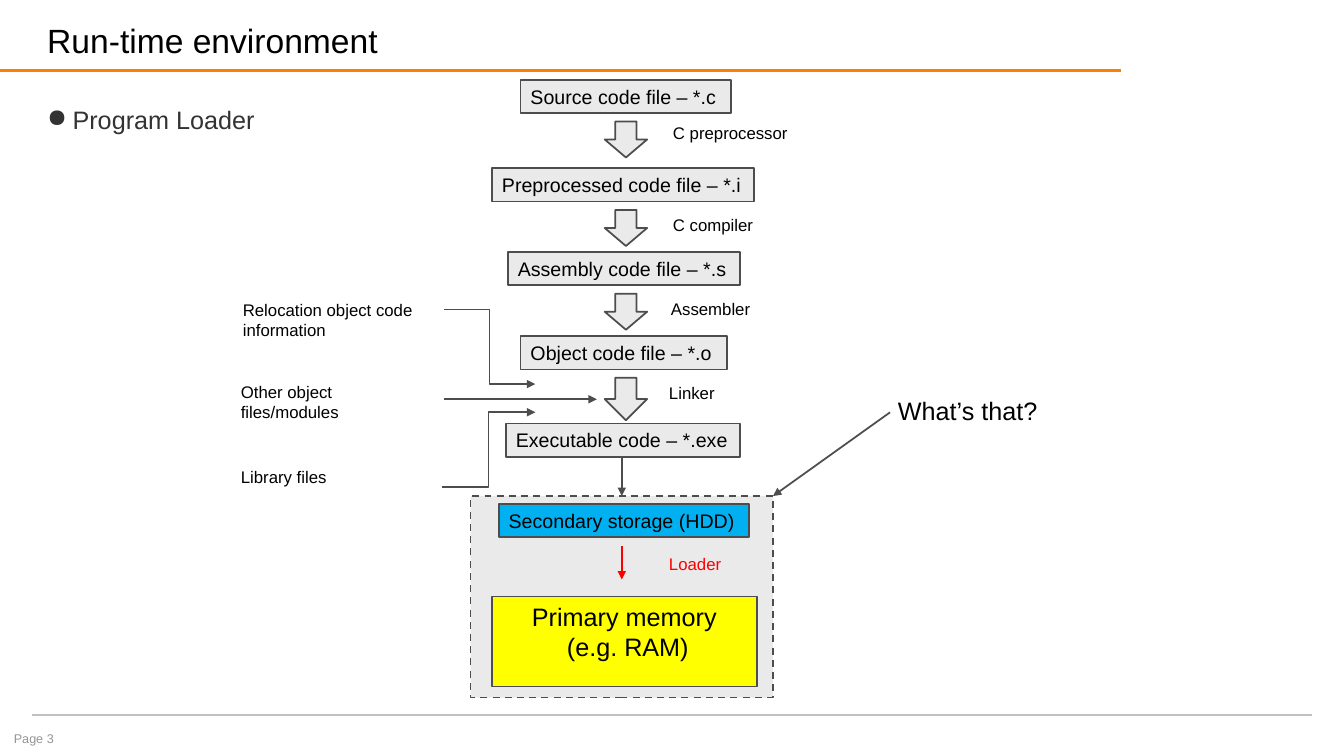
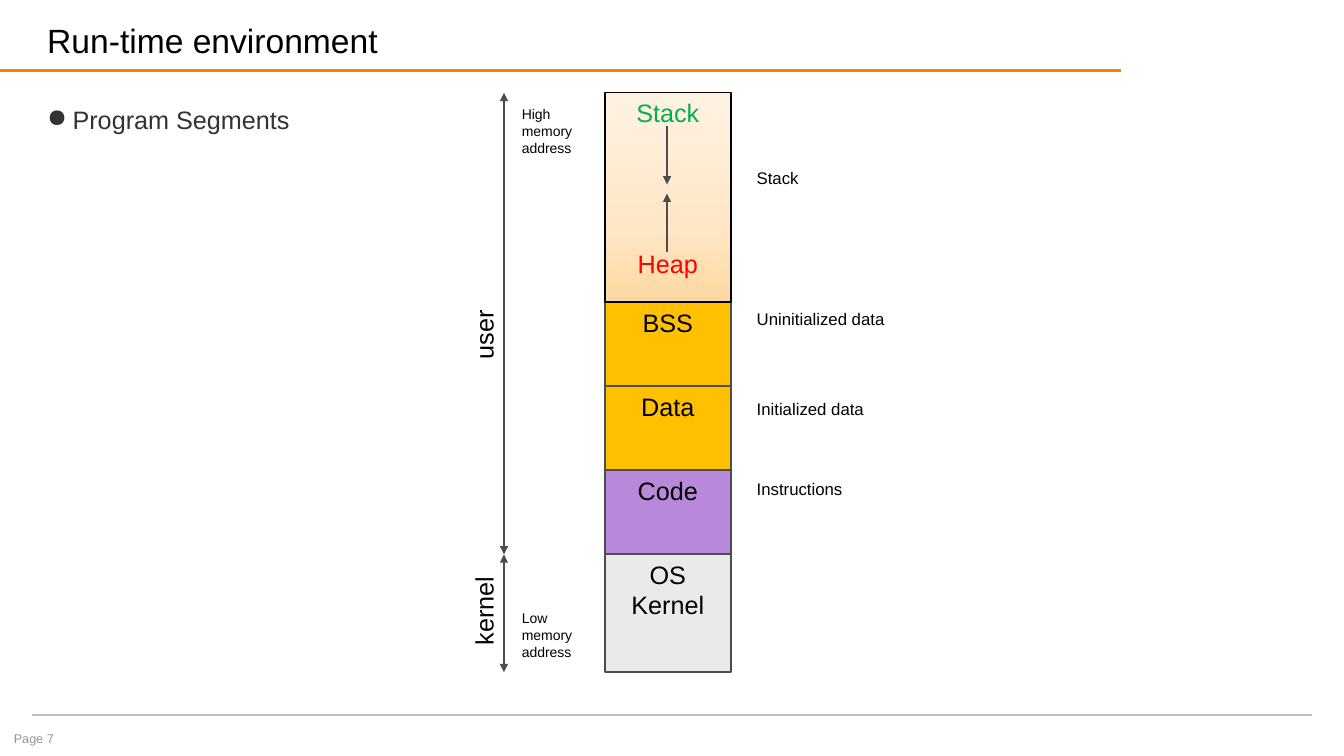
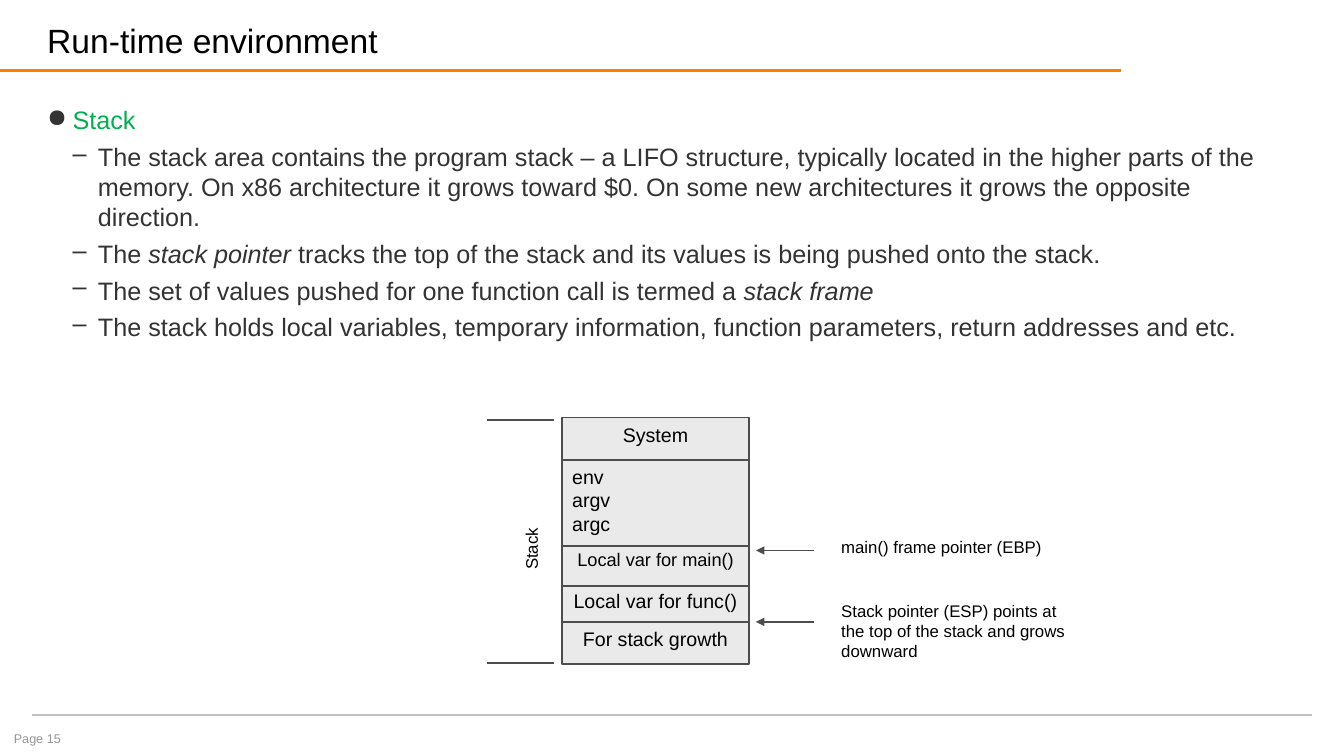
from copy import deepcopy

from lxml.etree import SubElement
from pptx import Presentation
from pptx.dml.color import RGBColor
from pptx.enum.dml import MSO_LINE
from pptx.enum.shapes import MSO_CONNECTOR, MSO_SHAPE
from pptx.enum.text import MSO_ANCHOR, PP_ALIGN
from pptx.oxml.ns import qn
from pptx.util import Cm, Pt

rgb = RGBColor.from_string
FONT = "Arial"
BLACK, INK, EDGE, PANEL = "000000", "333333", "4D4D4D", "EAEAEA"
ORANGE, RULE, FOOTER = "FF7D00", "C0C0C0", "969696"
GREEN, RED, AMBER = "00B050", "FF0000", "FFC000"


def add_text(s, text, x, y, w, h, size=12, color=BLACK, align=PP_ALIGN.LEFT,
             anchor=MSO_ANCHOR.TOP, fill=None, line=EDGE,
             shape=MSO_SHAPE.RECTANGLE, margins=True, rotation=0):
    """Add a text box, or a filled shape when fill is given; _word_ is italic."""
    box = Cm(x), Cm(y), Cm(w), Cm(h)
    if fill:
        sp = s.shapes.add_shape(shape, *box)
        sp.shadow.inherit = False
        sp.fill.solid()
        sp.fill.fore_color.rgb = rgb(fill)
        sp.line.color.rgb = rgb(line)
        sp.line.width = Pt(1.25)
    else:
        sp = s.shapes.add_textbox(*box)
    sp.rotation = rotation
    tf = sp.text_frame
    tf.word_wrap = True
    tf.vertical_anchor = anchor
    if not margins:
        tf.margin_left = tf.margin_right = tf.margin_top = tf.margin_bottom = 0
    for i, content in enumerate(text.split("\n") if text else []):
        p = tf.add_paragraph() if i else tf.paragraphs[0]
        p.alignment = align
        for j, piece in enumerate(content.split("_")):
            if piece:
                r = p.add_run()
                r.text = piece
                r.font.name = FONT
                r.font.size = Pt(size)
                r.font.color.rgb = rgb(color)
                r.font.italic = j % 2 == 1
    return sp


def add_line(s, x1, y1, x2, y2, color=EDGE, width=1.25, ends=("tailEnd",),
             kind=MSO_CONNECTOR.STRAIGHT):
    """Add a connector with a triangle at each of the given ends."""
    c = s.shapes.add_connector(kind, Cm(x1), Cm(y1), Cm(x2), Cm(y2))
    c.line.color.rgb = rgb(color)
    c.line.width = Pt(width)
    spPr = c._element.spPr
    for end in ends:
        SubElement(spPr.find(qn("a:ln")), qn(f"a:{end}"), type="triangle")
    SubElement(spPr, qn("a:effectLst"))


prs = Presentation()
prs.slide_width, prs.slide_height = Cm(33.87), Cm(19.05)

# Shared frame: title, rules, bulleted body and page number
pages = [
    (3, INK, "Program Loader"),
    (7, INK, "Program Segments"),
    (15, GREEN,
     "Stack\n"
     "The stack area contains the program stack – a LIFO structure, typically "
     "located in the higher parts of the memory. On x86 architecture it grows "
     "toward $0. On some new architectures it grows the opposite direction.\n"
     "The _stack pointer_ tracks the top of the stack and its values is being "
     "pushed onto the stack.\n"
     "The set of values pushed for one function call is termed a _stack frame_\n"
     "The stack holds local variables, temporary information, function "
     "parameters, return addresses and etc."),
]
slides = []
for number, topic_color, body in pages:
    s = prs.slides.add_slide(prs.slide_layouts[6])
    slides.append(s)
    add_line(s, -0.05, 1.78, 28.24, 1.78, ORANGE, 2.25, ends=())
    add_line(s, 0.81, 18.01, 33.07, 18.01, RULE, 1.5, ends=())
    add_text(s, "Run-time environment", 1.19, 0.33, 27.05, 1.19, size=24,
             anchor=MSO_ANCHOR.BOTTOM, margins=False)
    add_text(s, f"Page {number}", 0.1, 18.29, 4.06, 0.76, size=9, color=FOOTER)
    tf = add_text(s, body, 1.19, 2.64, 31.47, 14.66, size=18, color=INK,
                  margins=False).text_frame
    for i, p in enumerate(tf.paragraphs):
        level = min(i, 1)
        p.level = level
        p.space_before = Pt(4.5 * level)
        pPr = p._p.get_or_add_pPr()
        pPr.set("marL", str(Cm(0.64 * (level + 1))))
        pPr.set("indent", str(Cm(-0.64)))
        SubElement(SubElement(pPr, qn("a:buClr")), qn("a:srgbClr"), val=INK)
        SubElement(pPr, qn("a:buChar"), char="●–"[level])
    tf.paragraphs[0].runs[0].font.color.rgb = rgb(topic_color)
loader, segments, stack = slides

# Program loader: build chain from source file to memory
frame = add_text(loader, "", 11.86, 12.5, 7.62, 5.08, fill=PANEL)
frame.line.dash_style = MSO_LINE.DASH

build_steps = [
    ("Source code file – *.c", 13.12, 2.01, 5.3, "C preprocessor", 16.71, 2.97, 0.91),
    ("Preprocessed code file – *.i", 12.4, 4.24, 6.6, "C compiler", 16.71, 5.28, 0.91),
    ("Assembly code file – *.s", 12.8, 6.35, 5.85, "Assembler", 16.66, 7.41, 0.91),
    ("Object code file – *.o", 13.12, 8.47, 5.2, "Linker", 16.61, 9.53, 1.07),
    ("Executable code – *.exe", 12.75, 10.67, 5.9, None, 0, 0, 0),
]
for name, x, y, w, tool, tool_x, tool_y, arrow_h in build_steps:
    add_text(loader, name, x, y, w, 0.84, size=14, fill=PANEL)
    if tool:
        add_text(loader, "", 15.24, y + 1.05, 1.07, arrow_h, fill=PANEL,
                 shape=MSO_SHAPE.DOWN_ARROW)
        add_text(loader, tool, tool_x, tool_y, 3.6, 0.76)

add_text(loader, "Secondary storage (HDD)", 12.57, 12.7, 6.3, 0.84, size=14,
         fill="00B0F0")
add_text(loader, "Primary memory\n (e.g. RAM)", 12.4, 15.03, 6.67, 2.27, size=18,
         align=PP_ALIGN.CENTER, fill="FFFF00")
add_text(loader, "Loader", 16.61, 13.84, 3.6, 0.76, color=RED)
add_text(loader, "What’s that?", 22.38, 9.83, 4.45, 1.02, size=18)
for text, x, y, h in [
    ("Relocation object code information", 5.87, 7.42, 1.27),
    ("Other object files/modules", 5.82, 9.5, 1.27),
    ("Library files", 5.82, 11.63, 0.76),
]:
    add_text(loader, text, x, y, 5.31, h)

add_line(loader, 15.67, 11.53, 15.67, 12.5)
add_line(loader, 15.67, 13.77, 15.67, 14.6, RED)
add_line(loader, 11.18, 7.8, 13.49, 9.68, kind=MSO_CONNECTOR.ELBOW)
add_line(loader, 11.18, 10.06, 15.04, 10.06)
add_line(loader, 11.13, 12.27, 13.49, 10.39, kind=MSO_CONNECTOR.ELBOW)
add_line(loader, 22.43, 10.39, 19.48, 12.5)

# Program segments: memory map from kernel (low) to stack (high)
y = 16.94
for name, h, fill, line in [
    ("OS Kernel", 2.97, PANEL, EDGE),
    ("Code", 2.12, "B889DB", EDGE),
    ("Data", 2.12, AMBER, EDGE),
    ("BSS", 2.12, AMBER, EDGE),
    ("Stack\nHeap", 5.28, "FFE6C5", BLACK),
]:
    y -= h
    segment = add_text(segments, name, 15.24, y, 3.18, h, size=18,
                       align=PP_ALIGN.CENTER, fill=fill, line=line)

# The last segment is shared by stack and heap
segment.fill.gradient()
segment.fill.gradient_angle = 90
gs = segment._element.spPr.find(".//" + qn("a:gs"))
gs.addnext(deepcopy(gs))
gradient = [(0, "FFD8A0"), (0.34, "FFE6C5"), (1, "FFF2E3")]
for stop, (position, color) in zip(segment.fill.gradient_stops, gradient):
    stop.position = position
    stop.color.rgb = rgb(color)
stack_p, heap_p = segment.text_frame.paragraphs
stack_p.runs[0].font.color.rgb = rgb(GREEN)
heap_p.runs[0].font.color.rgb = rgb(RED)
heap_p.space_before = Pt(86)
add_line(segments, 16.81, 6.35, 16.81, 4.88)
add_line(segments, 16.81, 3.18, 16.81, 4.65)

for text, y in [("Stack", 4.11), ("Uninitialized data", 7.65),
                ("Initialized data", 9.93), ("Instructions", 11.94)]:
    add_text(segments, text, 18.82, y, 5.51, 0.76)
for space, text_y, far_y in [("kernel", 14.73, 16.94), ("user", 7.52, 2.34)]:
    add_line(segments, 12.7, 13.97, 12.7, far_y, ends=("headEnd", "tailEnd"))
    add_text(segments, space, 10.92, text_y, 2.54, 1.02, size=18, rotation=270)
for text, y in [("High memory address", 2.54), ("Low memory address", 15.24)]:
    add_text(segments, text, 12.9, y, 2.11, 1.55, size=10)

# Stack: layout of the frames
for text, y, h, size, align in [
    ("Local var for func()", 14.71, 1.07, 14, PP_ALIGN.CENTER),
    ("For stack growth", 15.67, 1.07, 14, PP_ALIGN.CENTER),
    ("Local var for main()", 13.69, 1.07, 13, PP_ALIGN.CENTER),
    ("env\nargv\nargc", 11.58, 2.18, 14, PP_ALIGN.LEFT),
    ("System", 10.52, 1.07, 14, PP_ALIGN.CENTER),
]:
    add_text(stack, text, 14.17, y, 4.7, h, size=size, align=align, fill=PANEL)
for y in (10.59, 16.71):
    add_line(stack, 12.27, y, 13.97, y, ends=())
add_text(stack, "Stack", 12.22, 13.06, 2.34, 0.76, rotation=270)
for text, arrow_y, text_y, h in [
    ("main() frame pointer (EBP)", 13.87, 13.41, 0.76),
    ("Stack pointer (ESP) points at the top of the stack and grows downward",
     15.67, 15.01, 1.8),
]:
    add_line(stack, 20.52, arrow_y, 19.05, arrow_y)
    add_text(stack, text, 20.95, text_y, 6.15, h)

prs.save("out.pptx")
